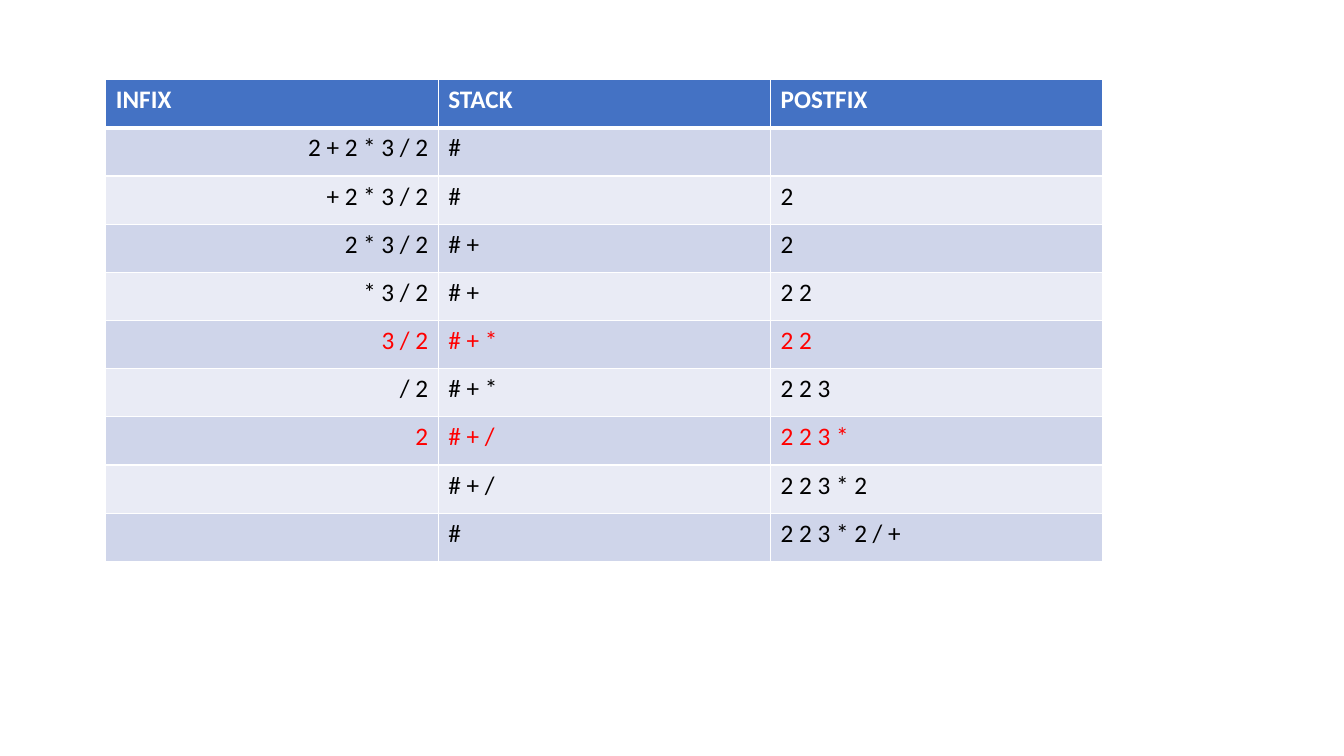
from lxml import etree
from pptx import Presentation
from pptx.dml.color import RGBColor
from pptx.enum.text import PP_ALIGN
from pptx.oxml.ns import qn
from pptx.util import Inches, Pt

HEADS = ("INFIX", "STACK", "POSTFIX")
STEPS = (
    ("2 + 2 * 3 / 2", "#", ""),
    ("+ 2 * 3 / 2", "#", "2"),
    ("2 * 3 / 2", "# +", "2"),
    ("* 3 / 2", "# +", "2 2"),
    ("3 / 2", "# + *", "2 2"),
    ("/ 2", "# + *", "2 2 3"),
    ("2", "# + /", "2 2 3 *"),
    ("", "# + /", "2 2 3 * 2"),
    ("", "#", "2 2 3 * 2 / +"),
)
RED_ROWS = (5, 7)
BANDS = ("E9EBF5", "CFD5EA")


def paint(color, value):
    color.rgb = RGBColor.from_string(value)


def border(cell, sides):
    """Draw white cell borders; sides maps L, R, T, B to widths in points."""
    props = cell._tc.get_or_add_tcPr()
    for place, (side, width) in enumerate(sides.items()):
        line = etree.Element(qn(f"a:ln{side}"), w=str(Pt(width)))
        fill = etree.SubElement(line, qn("a:solidFill"))
        etree.SubElement(fill, qn("a:srgbClr"), val="FFFFFF")
        props.insert(place, line)


def fill_cell(cell, text, back, ink, bold, align):
    cell.fill.solid()
    paint(cell.fill.fore_color, back)
    cell.text_frame.text = text
    para = cell.text_frame.paragraphs[0]
    para.alignment = align
    for run in para.runs:
        run.font.name = "Calibri"
        run.font.size = Pt(18)
        run.font.bold = bold
        paint(run.font.color, ink)


def add_steps(slide):
    rows = (HEADS, *STEPS)
    frame = slide.shapes.add_table(
        len(rows), len(HEADS),
        Inches(1.05), Inches(0.79), Inches(9.89), Inches(4.78))
    for r, texts in enumerate(rows):
        head = r == 0
        back = "4472C4" if head else BANDS[r % 2]
        ink = "FFFFFF" if head else "FF0000" if r in RED_ROWS else "000000"
        sides = {"L": 1, "R": 1, "T": 3 if r == 1 else 1, "B": 3 if head else 1}
        for c, text in enumerate(texts):
            cell = frame.table.cell(r, c)
            right = c == 0 and not head
            align = PP_ALIGN.RIGHT if right else PP_ALIGN.LEFT
            fill_cell(cell, text, back, ink, head, align)
            border(cell, sides)


def main():
    deck = Presentation()
    deck.slide_width = Inches(13.33)
    deck.slide_height = Inches(7.5)
    add_steps(deck.slides.add_slide(deck.slide_layouts[6]))
    deck.save("out.pptx")


if __name__ == "__main__":
    main()
